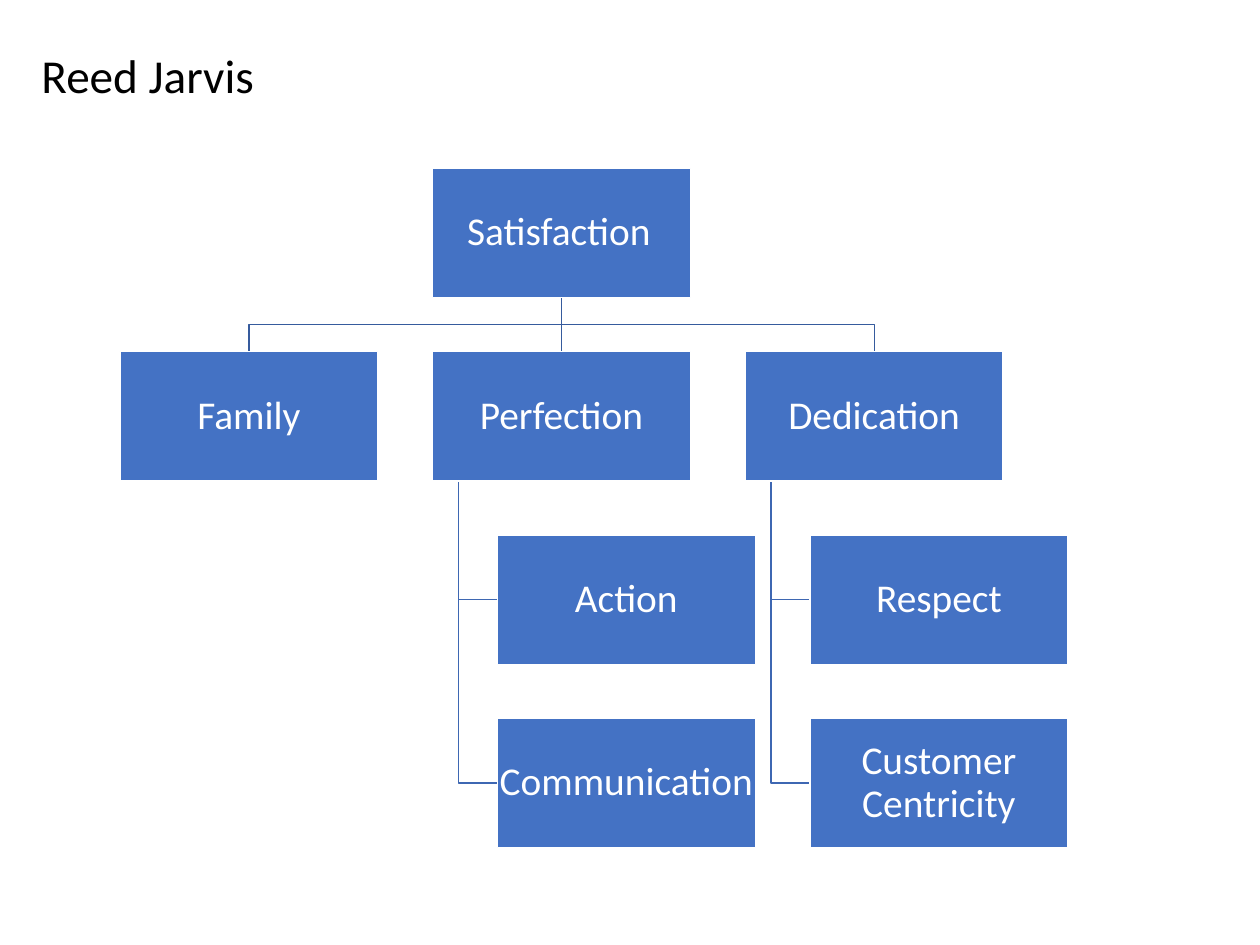
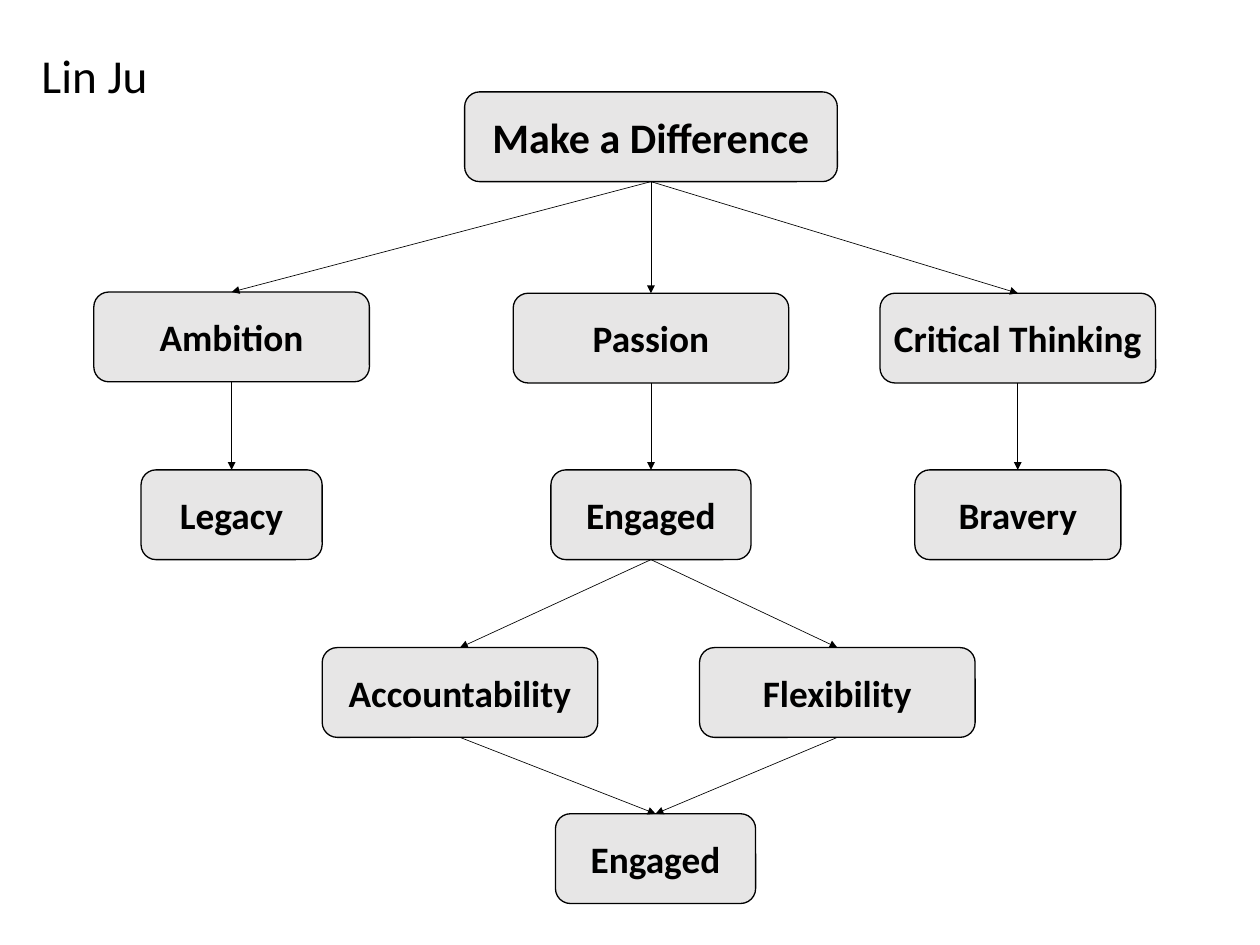
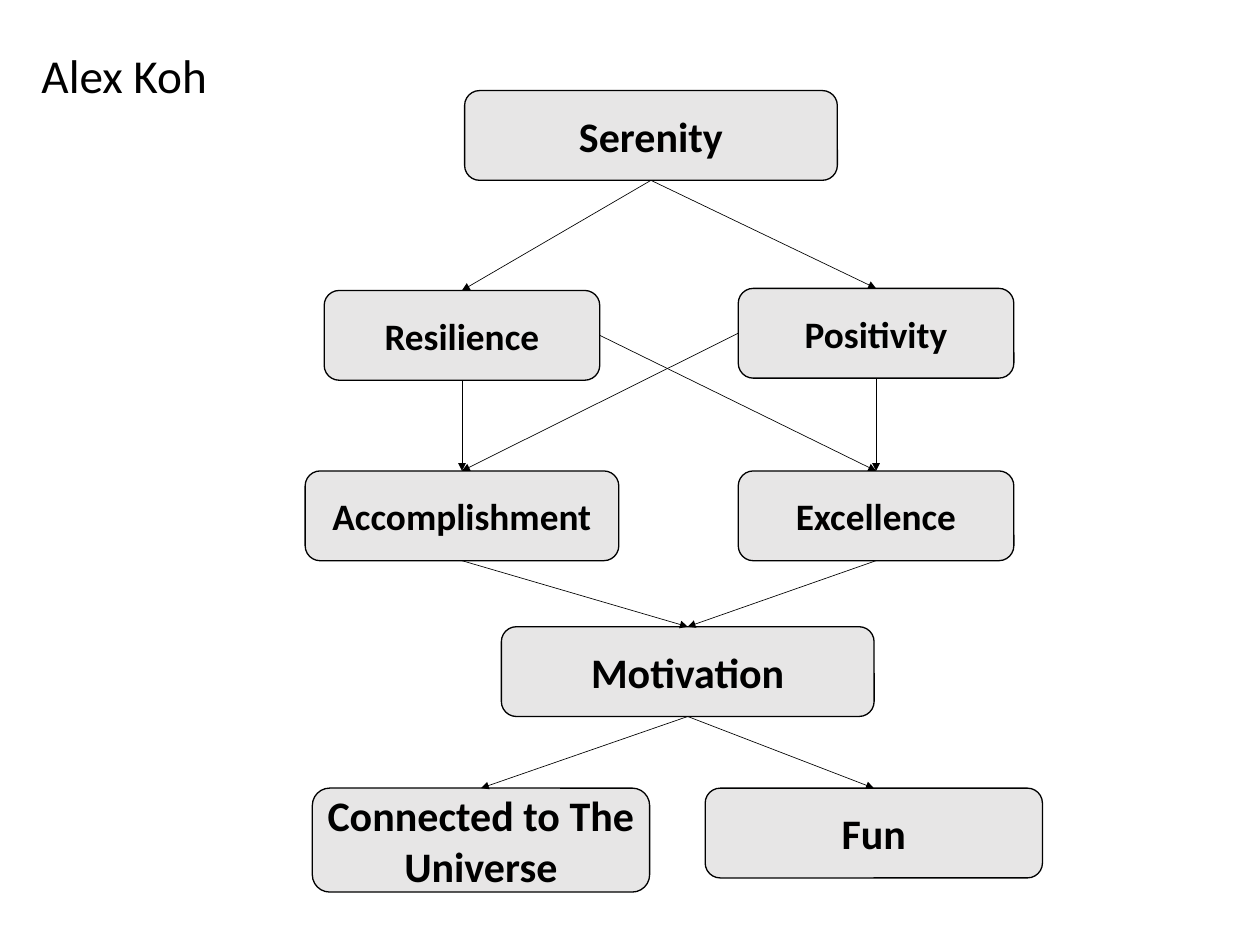
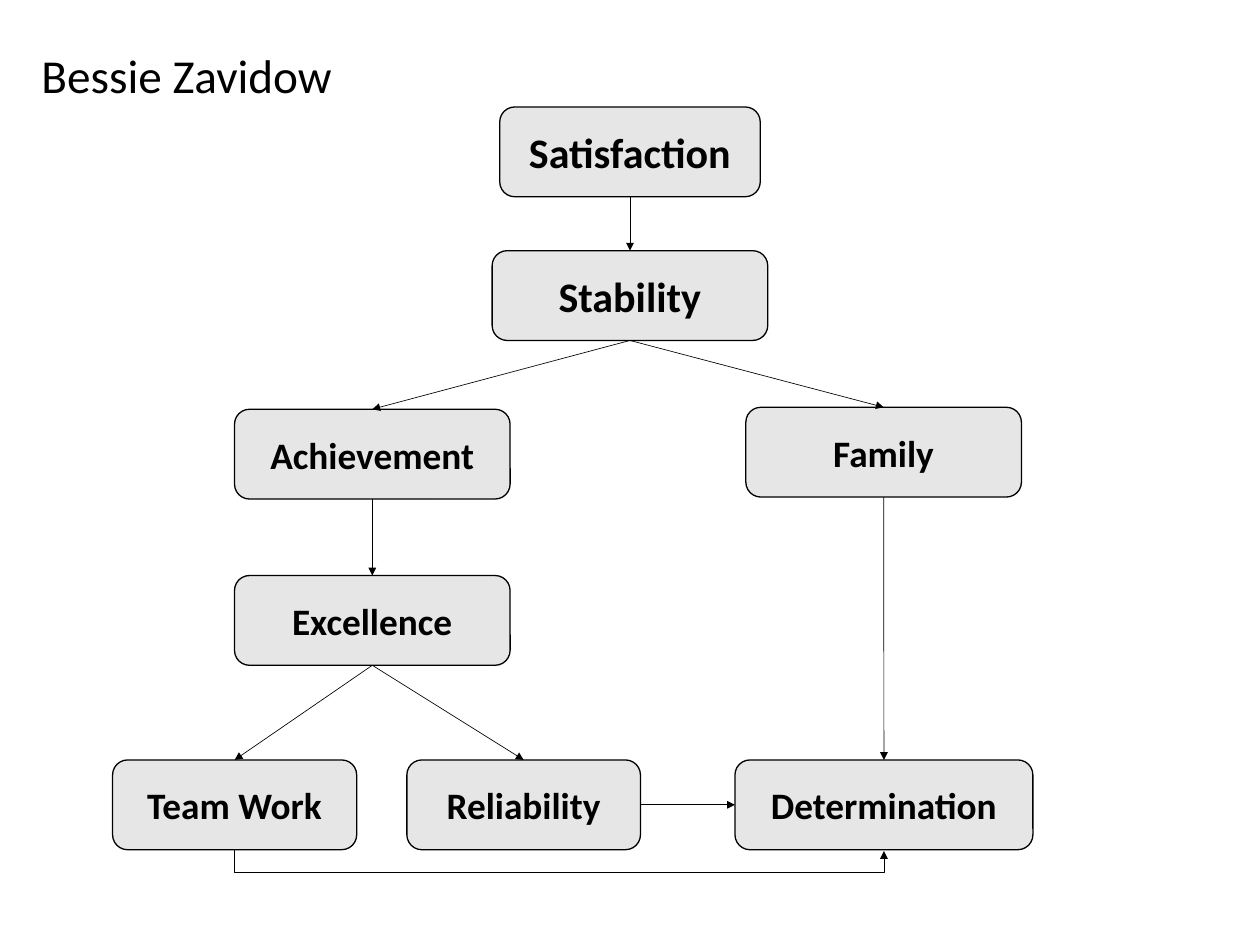
"""Builds four value maps, one per person, as trees of linked boxes."""
from dataclasses import dataclass

from lxml import etree
from pptx import Presentation
from pptx.dml.color import RGBColor
from pptx.enum import shapes, text
from pptx.oxml import ns
from pptx.util import Pt

COLOURS = {
    "ink": "000000", "paper": "FFFFFF", "node": "E7E6E6",
    "block": "4472C4", "trunk": "365B9D", "branch": "3E67B2",
}
FONT = "Calibri"
TOP, LEFT, BOTTOM, RIGHT = range(4)
BLOCK_W, BLOCK_H = 196.5, 98.5
COLUMN_STEP, ROW_STEP, INDENT = 238.2, 139.7, 49.4
ELBOW_DEPTH = 17.5


@dataclass
class Node:
    """A rounded value box, placed by its centre line and top."""
    centre: float
    top: float
    width: float = 210
    size: float = 28.4
    height: float = 68.4
    words: str = ""


@dataclass
class Link:
    """An arrow between two named nodes, with its connection sites."""
    start: str
    end: str
    leave: int = BOTTOM
    enter: int = TOP
    elbow: bool = False


@dataclass
class ValueMap:
    """One person's nodes and the arrows between them."""
    person: str
    nodes: dict[str, Node]
    links: list[Link]


@dataclass
class Block:
    """A square-cornered box in the grid of the tree."""
    words: str
    column: int
    row: int

    @property
    def left(self) -> float:
        """Left edge, indented below the second row."""
        return 91.4 + self.column * COLUMN_STEP + (INDENT if self.row > 1 else 0)

    @property
    def top(self) -> float:
        """Top edge."""
        return 128.2 + self.row * ROW_STEP

    @property
    def middle(self) -> float:
        """Horizontal centre."""
        return self.left + BLOCK_W / 2


ROOT = Block("Satisfaction\t", 1, 0)
BRANCHES = {
    Block_name: column for column, Block_name in enumerate(["Family", "Perfection", "Dedication"])
}
LEAVES = {"Perfection": ["Action", "Communication"], "Dedication": ["Respect", "Customer Centricity"]}

MAPS = [
    ValueMap("Lin Ju", {
        "Make a Difference": Node(496, 70, 284, 32),
        "Ambition": Node(176.5, 222.5),
        "Passion": Node(496, 223.4),
        "Critical Thinking": Node(775.5, 223.4),
        "Legacy": Node(176.5, 358, 138),
        "Engaged": Node(496, 358, 152.5),
        "Bravery": Node(775.5, 358, 157),
        "Accountability": Node(350.5, 493.4),
        "Flexibility": Node(638, 493.4),
        "Engaged at the end": Node(499.5, 620, 152.5, words="Engaged"),
    }, [
        Link("Make a Difference", "Ambition"),
        Link("Make a Difference", "Passion"),
        Link("Make a Difference", "Critical Thinking"),
        Link("Ambition", "Legacy"),
        Link("Passion", "Engaged"),
        Link("Critical Thinking", "Bravery"),
        Link("Engaged", "Accountability"),
        Link("Engaged", "Flexibility"),
        Link("Accountability", "Engaged at the end"),
        Link("Flexibility", "Engaged at the end"),
    ]),
    ValueMap("Alex Koh", {
        "Serenity": Node(496, 69, 284, 32),
        "Resilience": Node(352, 221.3),
        "Positivity": Node(667.5, 219.7),
        "Accomplishment": Node(352, 358.8, 239),
        "Excellence": Node(667.5, 358.8),
        "Motivation": Node(524, 477.5, 284, 32),
        "Connected to The Universe": Node(366.5, 600.5, 257, 32, 79.2),
        "Fun": Node(665.8, 600.5, 257, 32),
    }, [
        Link("Serenity", "Resilience"),
        Link("Serenity", "Positivity"),
        Link("Resilience", "Accomplishment"),
        Link("Resilience", "Excellence", RIGHT),
        Link("Positivity", "Excellence"),
        Link("Positivity", "Accomplishment", LEFT),
        Link("Accomplishment", "Motivation"),
        Link("Excellence", "Motivation"),
        Link("Motivation", "Connected to The Universe"),
        Link("Motivation", "Fun"),
    ]),
    ValueMap("Bessie Zavidow", {
        "Satisfaction": Node(480, 81.5, 198.5, 32),
        "Stability": Node(480, 191, 210, 32),
        "Achievement": Node(283.7, 311.8),
        "Family": Node(673.3, 310.3),
        "Excellence": Node(283.7, 438.5),
        "Team Work": Node(178.8, 579, 186),
        "Reliability": Node(399, 579, 178),
        "Determination": Node(673.5, 579, 227),
    }, [
        Link("Satisfaction", "Stability"),
        Link("Stability", "Achievement"),
        Link("Stability", "Family"),
        Link("Achievement", "Excellence"),
        Link("Excellence", "Team Work"),
        Link("Excellence", "Reliability"),
        Link("Family", "Determination"),
        Link("Reliability", "Determination", RIGHT, LEFT),
        Link("Team Work", "Determination", BOTTOM, BOTTOM, elbow=True),
    ]),
]


def rgb(name: str) -> RGBColor:
    """Look up a shared colour."""
    return RGBColor.from_string(COLOURS[name])


def write(shape, words: str, *, size: float, colour: str = "ink", bold: bool = False,
          align=text.PP_ALIGN.CENTER, inset: float = 4, spacing: float = 1.0) -> None:
    """Fill a shape with one formatted, vertically centred paragraph."""
    frame = shape.text_frame
    frame.word_wrap = True
    frame.vertical_anchor = text.MSO_ANCHOR.MIDDLE
    frame.margin_left = frame.margin_right = Pt(inset)
    frame.margin_top = frame.margin_bottom = Pt(min(inset, 3.6))
    paragraph = frame.paragraphs[0]
    paragraph.alignment = align
    paragraph.line_spacing = spacing
    run = paragraph.add_run()
    run.text = words
    run.font.name, run.font.size, run.font.bold = FONT, Pt(size), bold
    run.font.color.rgb = rgb(colour)


def stroke(shape, colour: str, width: float) -> None:
    """Set the outline of a shape or connector."""
    shape.line.color.rgb = rgb(colour)
    shape.line.width = Pt(width)


def add_box(slide, preset, left: float, top: float, width: float, height: float,
            fill: str, outline: str):
    """Add a filled, outlined preset shape."""
    box = slide.shapes.add_shape(preset, Pt(left), Pt(top), Pt(width), Pt(height))
    box.shadow.inherit = False
    box.fill.solid()
    box.fill.fore_color.rgb = rgb(fill)
    stroke(box, outline, 1)
    return box


def add_line(slide, kind, start: tuple, end: tuple, colour: str, width: float):
    """Add a connector without a shadow."""
    line = slide.shapes.add_connector(kind, *(Pt(value) for value in (*start, *end)))
    stroke(line, colour, width)
    etree.SubElement(line._element.spPr, ns.qn("a:effectLst"))
    return line


def add_polyline(slide, points: list[tuple[float, float]], colour: str) -> None:
    """Add an open outline through the points."""
    first, *rest = [(Pt(x), Pt(y)) for x, y in points]
    builder = slide.shapes.build_freeform(*first)
    builder.add_line_segments(rest, close=False)
    outline = builder.convert_to_shape()
    outline.shadow.inherit = False
    outline.fill.background()
    stroke(outline, colour, 1)


def add_page(deck, person: str):
    """Add a blank slide headed by the person's name."""
    slide = deck.slides.add_slide(deck.slide_layouts[6])
    heading = slide.shapes.add_textbox(Pt(24.5), Pt(31), Pt(754.5), Pt(51))
    write(heading, person, size=36, align=text.PP_ALIGN.LEFT, inset=7.2)
    return slide


def draw_block(slide, block: Block) -> None:
    """Draw one box of the tree."""
    box = add_box(slide, shapes.MSO_SHAPE.RECTANGLE, block.left, block.top,
                  BLOCK_W, BLOCK_H, "block", "paper")
    write(box, block.words, size=30, colour="paper", inset=1, spacing=0.9)


def draw_tree(slide) -> None:
    """Draw the root, its branches and their leaves."""
    branches = [Block(words, column, 1) for words, column in BRANCHES.items()]
    blocks = [ROOT, *branches]
    root_foot = ROOT.top + BLOCK_H
    for branch in branches:
        if branch.column == ROOT.column:
            add_line(slide, shapes.MSO_CONNECTOR.STRAIGHT, (ROOT.middle, root_foot),
                     (branch.middle, branch.top), "trunk", 1)
        else:
            bend = (root_foot + branch.top) / 2
            add_polyline(slide, [(ROOT.middle, root_foot), (ROOT.middle, bend),
                                 (branch.middle, bend), (branch.middle, branch.top)], "trunk")
        stem = branch.left + BLOCK_W / 10
        for row, words in enumerate(LEAVES.get(branch.words, []), 2):
            leaf = Block(words, branch.column, row)
            level = leaf.top + BLOCK_H / 2
            add_polyline(slide, [(stem, branch.top + BLOCK_H), (stem, level),
                                 (leaf.left, level)], "branch")
            blocks.append(leaf)
    for block in blocks:
        draw_block(slide, block)


def bend_below(arrow, start: Node, end: Node) -> None:
    """Turn an elbow arrow so that it runs below both nodes."""
    span = end.centre - start.centre
    arrow.left = Pt((start.centre + end.centre - 1) / 2)
    arrow.top = Pt(start.top + start.height + (1 - span) / 2)
    arrow.width, arrow.height = Pt(1), Pt(span)
    properties = arrow._element.spPr
    frame = properties.find(ns.qn("a:xfrm"))
    frame.attrib.pop("flipV", None)
    frame.set("rot", "16200000")
    frame.set("flipH", "1")
    guides = properties.find(ns.qn("a:prstGeom")).find(ns.qn("a:avLst"))
    etree.SubElement(guides, ns.qn("a:gd"), name="adj1", fmla=f"val {int(ELBOW_DEPTH * 100000)}")


def draw_map(slide, value_map: ValueMap) -> None:
    """Draw the nodes, then glue the arrows to them."""
    boxes = {}
    for key, node in value_map.nodes.items():
        boxes[key] = add_box(slide, shapes.MSO_SHAPE.ROUNDED_RECTANGLE, node.centre - node.width / 2,
                             node.top, node.width, node.height, "node", "ink")
        write(boxes[key], node.words or key, size=node.size, bold=True)
    for link in value_map.links:
        kind = shapes.MSO_CONNECTOR.ELBOW if link.elbow else shapes.MSO_CONNECTOR.STRAIGHT
        arrow = add_line(slide, kind, (0, 0), (0, 0), "ink", 0.5)
        arrow.begin_connect(boxes[link.start], link.leave)
        arrow.end_connect(boxes[link.end], link.enter)
        etree.SubElement(arrow.line._get_or_add_ln(), ns.qn("a:tailEnd"), type="triangle")
        if link.elbow:
            bend_below(arrow, value_map.nodes[link.start], value_map.nodes[link.end])


def main() -> None:
    """Build the deck and save it."""
    deck = Presentation()
    deck.slide_width, deck.slide_height = Pt(960), Pt(720)
    draw_tree(add_page(deck, "Reed Jarvis"))
    for value_map in MAPS:
        draw_map(add_page(deck, value_map.person), value_map)
    deck.save("out.pptx")


if __name__ == "__main__":
    main()
